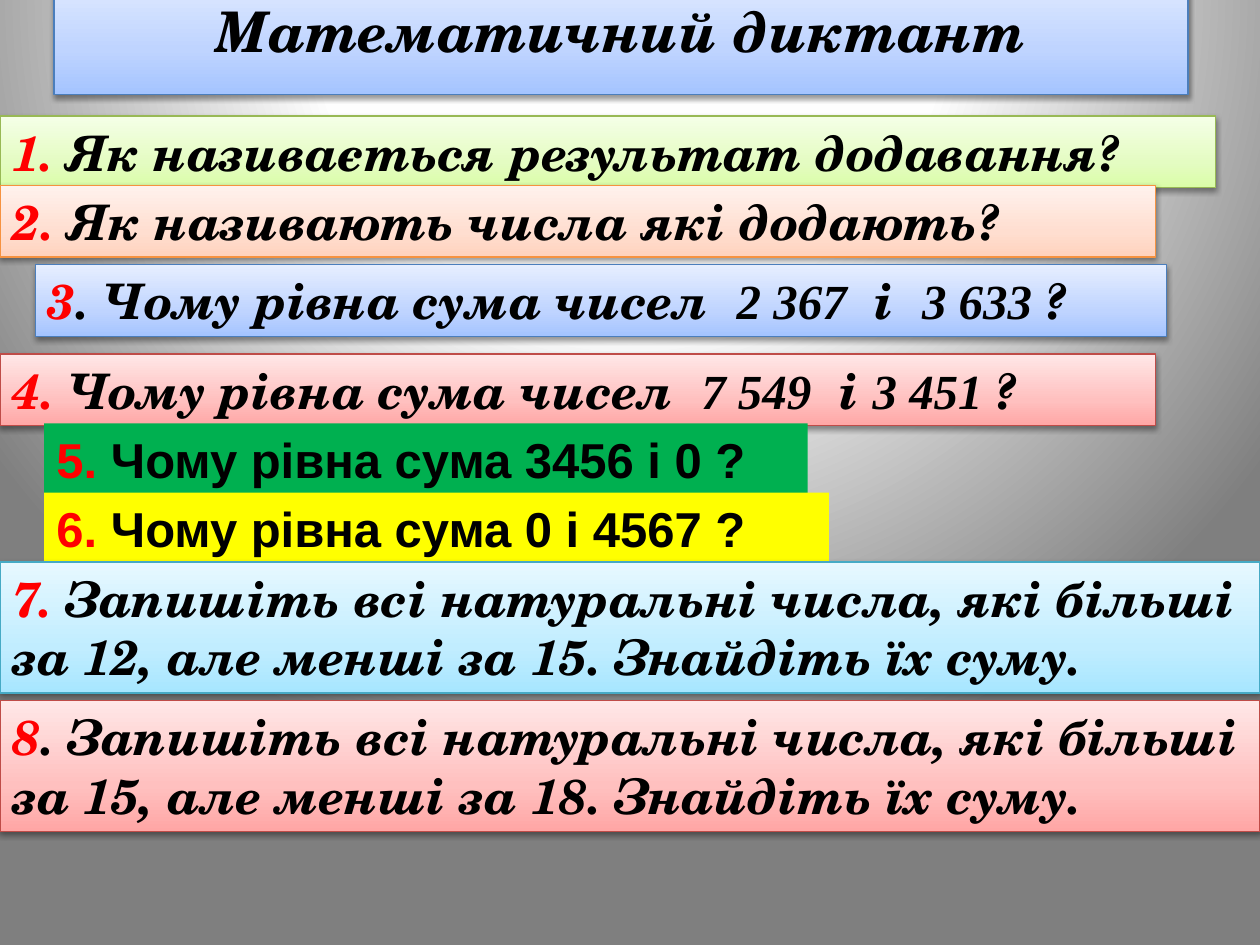
from lxml import etree
from pptx import Presentation
from pptx.dml.color import RGBColor
from pptx.enum.shapes import MSO_SHAPE
from pptx.enum.text import MSO_ANCHOR, PP_ALIGN
from pptx.oxml.ns import qn
from pptx.util import Inches, Pt

RECTANGLE = MSO_SHAPE.RECTANGLE
TOP, MIDDLE = MSO_ANCHOR.TOP, MSO_ANCHOR.MIDDLE
LEFT, CENTER = PP_ALIGN.LEFT, PP_ALIGN.CENTER

SCHOOL, TIMES, ARIAL = "TeX Gyre Schola", "Times New Roman", "Arial"
RED = RGBColor(0xFF, 0x00, 0x00)
BLACK = RGBColor(0x00, 0x00, 0x00)
GREEN = RGBColor(0x00, 0xB0, 0x50)
YELLOW = RGBColor(0xFF, 0xFF, 0x00)

# Gradient styles: outline, then the colours from bottom to top
BLUE_STYLE = [RGBColor.from_string(c) for c in ("4B7EBC", "A4C4FF", "BFD4FF", "E6EEFF")]
LIME_STYLE = [RGBColor.from_string(c) for c in ("98B955", "DAFDA7", "E4FCC2", "F5FFE7")]
ORANGE_STYLE = [RGBColor.from_string(c) for c in ("F69240", "FFD2BD", "FFDED0", "FFF2ED")]
PINK_STYLE = [RGBColor.from_string(c) for c in ("BF4C48", "FFA6A5", "FFC0BF", "FFE7E7")]
AQUA_STYLE = [RGBColor.from_string(c) for c in ("46AAC5", "A7E6FF", "C1EDFF", "E7F8FF")]
BACKDROP = [RGBColor.from_string(c) for c in ("FFFFFF", "FEFEFE", "7F7F7F")]

TITLE = "Математичний диктант"
ONE_LINE, TWO_LINES = 0.57, 1.04

# left, top, width, height, style, red number, rest of the question in (text, font) pieces
QUESTIONS = [
    (0, 0.92, 9.65, ONE_LINE, LIME_STYLE, "1. ",
     [("Як називається результат додавання?", SCHOOL)]),
    (0, 1.47, 9.17, ONE_LINE, ORANGE_STYLE, "2. ",
     [("Як називають числа які додають?", SCHOOL)]),
    (0.28, 2.1, 8.98, ONE_LINE, BLUE_STYLE, "3",
     [(". Чому рівна сума чисел  ", SCHOOL), ("2 367", TIMES), ("  і  ", SCHOOL),
      ("3 633 ", TIMES), ("?", SCHOOL)]),
    (0, 2.81, 9.17, ONE_LINE, PINK_STYLE, "4. ",
     [("Чому рівна сума чисел  ", SCHOOL), ("7 549", TIMES), ("  і ", SCHOOL),
      ("3 451 ", TIMES), ("?", SCHOOL)]),
    (0.35, 3.36, 6.06, ONE_LINE, GREEN, "5. ",
     [("Чому рівна сума 3456 і 0 ?", ARIAL)]),
    (0.35, 3.91, 6.23, ONE_LINE, YELLOW, "6. ",
     [("Чому рівна сума 0 і 4567 ?", ARIAL)]),
    (0, 4.46, 10, TWO_LINES, AQUA_STYLE, "7. ",
     [("Запишіть всі натуральні числа, які більші за 12, але менші за 15. "
       "Знайдіть їх суму.", SCHOOL)]),
    (0, 5.56, 10, TWO_LINES, PINK_STYLE, "8",
     [(". Запишіть всі натуральні числа, які більші за 15, але менші за 18. "
       "Знайдіть їх суму.", SCHOOL)]),
]


def add_element(parent, tag, **attributes):
    values = {name: str(value) for name, value in attributes.items()}
    return etree.SubElement(parent, qn(tag), values)


def set_stops(gradient, positions, colors):
    """Replace the content of a gradFill element with the given stops."""
    for child in list(gradient):
        gradient.remove(child)
    stops = add_element(gradient, "a:gsLst")
    for position, color in zip(positions, colors):
        stop = add_element(stops, "a:gs", pos=position * 1000)
        add_element(stop, "a:srgbClr", val=color)


def paint_background(page):
    page.background.fill.gradient()
    gradient = page.element.find(".//" + qn("p:bgPr")).find(qn("a:gradFill"))
    set_stops(gradient, (0, 40, 100), BACKDROP)
    circle = add_element(gradient, "a:path", path="circle")
    add_element(circle, "a:fillToRect", l=50000, t=-80000, r=50000, b=180000)


def add_shadow(box):
    effects = box.element.spPr.find(qn("a:effectLst"))
    shadow = add_element(effects, "a:outerShdw", blurRad=Pt(3.1), dist=Pt(1.6),
                         dir=90 * 60000, rotWithShape=0)
    color = add_element(shadow, "a:srgbClr", val=BLACK)
    add_element(color, "a:alpha", val=38000)


def add_bar(page, left, top, width, height, style):
    """Add a rectangle; style is a plain colour or a gradient style."""
    box = page.shapes.add_shape(
        RECTANGLE, Inches(left), Inches(top), Inches(width), Inches(height))
    box.shadow.inherit = False
    if isinstance(style, RGBColor):
        box.fill.solid()
        box.fill.fore_color.rgb = style
        box.line.fill.background()
        return box
    outline, *colors = style
    box.fill.gradient()
    gradient = box.element.spPr.find(qn("a:gradFill"))
    set_stops(gradient, (0, 35, 100), colors)
    add_element(gradient, "a:lin", ang=270 * 60000, scaled=0)
    box.line.color.rgb = outline
    box.line.width = Pt(0.75)
    add_shadow(box)
    return box


def write(box, pieces, size=28, align=LEFT, anchor=TOP):
    """Fill a box with one paragraph of (text, font, colour) pieces."""
    frame = box.text_frame
    frame.word_wrap = True
    frame.vertical_anchor = anchor
    para = frame.paragraphs[0]
    para.alignment = align
    for text, font, color in pieces:
        span = para.add_run()
        span.text = text
        span.font.name = font
        span.font.size = Pt(size)
        span.font.bold = True
        span.font.italic = font != ARIAL
        span.font.color.rgb = color


def main():
    deck = Presentation()
    deck.slide_width, deck.slide_height = Inches(10), Inches(7.5)
    page = deck.slides.add_slide(deck.slide_layouts[6])
    paint_background(page)

    title = add_bar(page, 0.43, -0.27, 9, 1.02, BLUE_STYLE)
    write(title, [(TITLE, SCHOOL, BLACK)], size=32, align=CENTER, anchor=MIDDLE)

    for left, top, width, height, style, number, question in QUESTIONS:
        bar = add_bar(page, left, top, width, height, style)
        number_font = question[0][1]
        write(bar, [(number, number_font, RED)]
              + [(text, font, BLACK) for text, font in question])

    deck.save("out.pptx")


if __name__ == "__main__":
    main()
